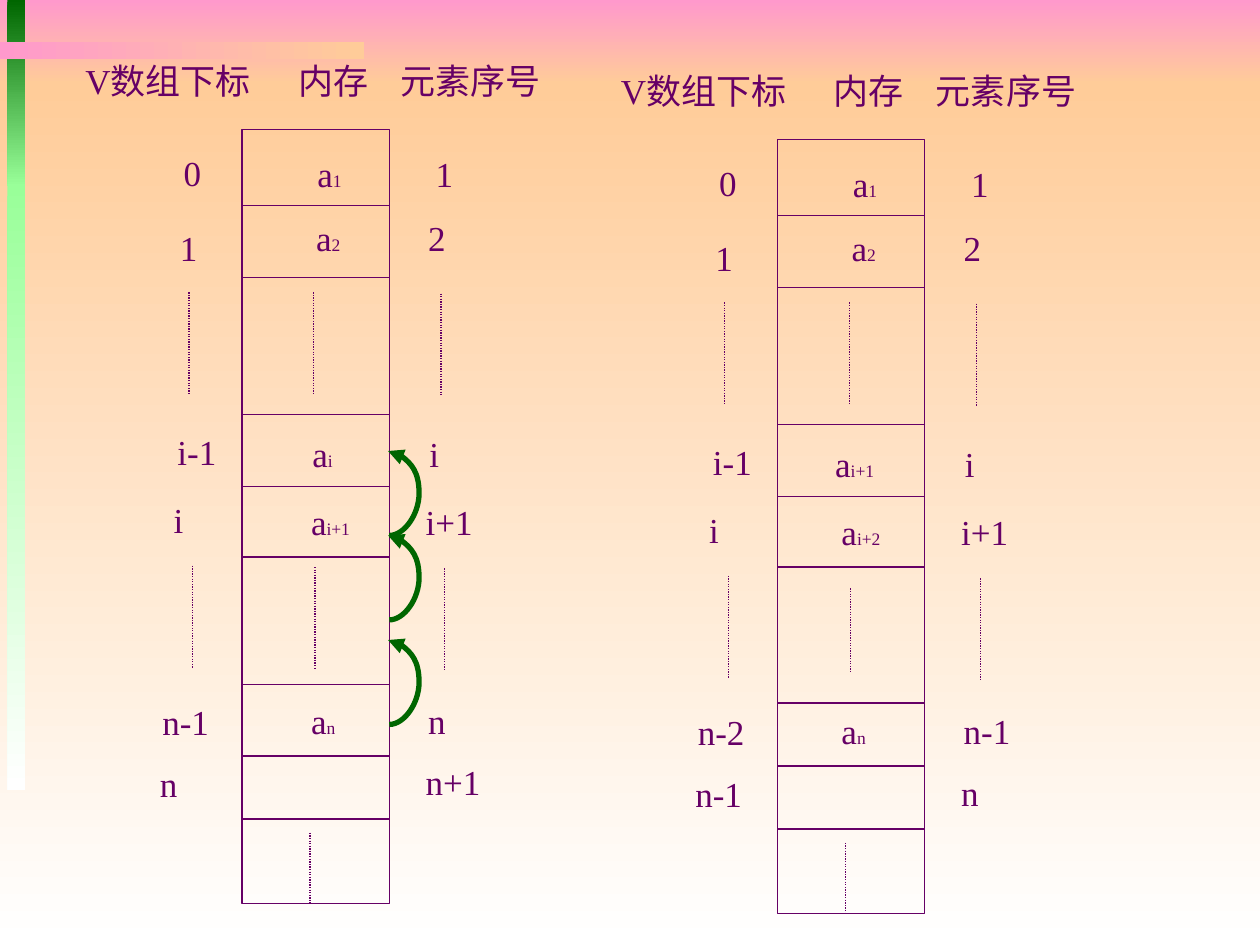
from dataclasses import dataclass

from lxml.etree import SubElement
from pptx import Presentation
from pptx.dml.color import RGBColor
from pptx.enum.dml import MSO_LINE
from pptx.enum.shapes import MSO_CONNECTOR, MSO_SHAPE
from pptx.enum.text import MSO_AUTO_SIZE
from pptx.oxml.ns import qn
from pptx.util import Inches, Pt

FONT = "Times New Roman"
PURPLE, GREEN = "660066", "006600"
PINK, PEACH, LIME, WHITE = "FF99CC", "FFCC99", "99FF99", "FFFFFF"
SIZE, SUB_SIZE = 20, 10
# Character widths in ems; any other character is one em wide
EMS = {"a": 0.44, "i": 0.28, "n": 0.5, "V": 0.72, "-": 0.33, "+": 0.56,
       "0": 0.5, "1": 0.5, "2": 0.5}

# Geometry of the left diagram, which the right one repeats with an offset
BOX_LEFT, BOX_TOP, BOX_WIDTH, BOX_HEIGHT = 1.92, 1.03, 1.17, 6.14
HEADERS = [("V数组下标", 0.58), ("内存", 2.27), ("元素序号", 3.08)]
HEADER_TOP = 0.42
INDEX_SPOTS = [(1.36, 1.15), (1.33, 1.75), (1.31, 3.37),
               (1.28, 3.91), (1.19, 5.51), (1.17, 6)]
NUMBER_SPOTS = [(3.36, 1.16), (3.3, 1.67), (3.31, 3.38),
                (3.28, 3.92), (3.3, 5.5), (3.28, 5.99)]
CELL_TOPS = [1.16, 1.67, 3.38, 3.92, 5.5]
DIVIDERS = [1.63, 2.2, 3.29, 3.86, 4.42, 6, 6.5]
DOTS = [(1.5, 2.32, 3.13), (2.49, 2.32, 3.13), (3.5, 2.33, 3.14),
        (1.53, 4.49, 5.3), (3.53, 4.51, 5.32), (2.46, 6.61, 7.17)]


@dataclass
class Diagram:
    dx: float
    dy: float
    indices: list[str]
    subscripts: list[str]
    cell_lefts: list[float]
    numbers: list[str]
    last_divider: float
    cell_dots: tuple[float, float]


DIAGRAMS = [
    Diagram(0, 0, ["0", "1", "i-1", "i", "n-1", "n"],
            ["1", "2", "i", "i+1", "n"], [2.42, 2.41, 2.38, 2.37, 2.37],
            ["1", "2", "i", "i+1", "n", "n+1"], 5.43, (4.5, 5.31)),
    Diagram(4.25, 0.08, ["0", "1", "i-1", "i", "n-2", "n-1"],
            ["1", "2", "i+1", "i+2", "n"], [2.42, 2.41, 2.28, 2.33, 2.33],
            ["1", "2", "i", "i+1", "n-1", "n"], 5.5, (4.59, 5.25)),
]


def rgb(color: str) -> RGBColor:
    return RGBColor.from_string(color)


def text_width(text: str, size: float) -> float:
    return sum(EMS.get(ch, 1) for ch in text) * size / 72


def add_text(s, text: str, left: float, top: float, *, sub: str = "",
             wrap: bool = False, color: str = PURPLE):
    width = 0.2 + text_width(text, SIZE) + text_width(sub, SUB_SIZE)
    sp = s.shapes.add_textbox(Inches(left), Inches(top),
                              Inches(width), Inches(0.43))
    tf = sp.text_frame
    tf.word_wrap = wrap
    tf.auto_size = MSO_AUTO_SIZE.SHAPE_TO_FIT_TEXT
    p = tf.paragraphs[0]
    for part, size in ((text, SIZE), (sub, SUB_SIZE)):
        if part:
            r = p.add_run()
            r.text = part
            r.font.name = FONT
            r.font.size = Pt(size)
            r.font.color.rgb = rgb(color)
    return sp


def add_rect(s, left: float, top: float, width: float, height: float):
    sp = s.shapes.add_shape(MSO_SHAPE.RECTANGLE, Inches(left), Inches(top),
                            Inches(width), Inches(height))
    sp.shadow.inherit = False
    return sp


def add_gradient(s, left: float, top: float, width: float, height: float,
                 start: str, end: str, angle: int = 270):
    sp = add_rect(s, left, top, width, height)
    sp.line.fill.background()
    sp.fill.gradient()
    sp.fill.gradient_angle = angle
    for stop, color in zip(sp.fill.gradient_stops, (start, end)):
        stop.color.rgb = rgb(color)


def add_line(s, x1: float, y1: float, x2: float, y2: float, *,
             kind=MSO_CONNECTOR.STRAIGHT, color: str = PURPLE,
             weight: float = 0.75, dotted: bool = False):
    sp = s.shapes.add_connector(kind, Inches(x1), Inches(y1),
                                Inches(x2), Inches(y2))
    sp.line.color.rgb = rgb(color)
    sp.line.width = Pt(weight)
    if dotted:
        sp.line.dash_style = MSO_LINE.ROUND_DOT
    SubElement(sp._element.spPr, qn("a:effectLst"))
    return sp


def add_shift_arrow(s, top: float) -> None:
    """Curve bulging to the right, with its arrowhead at the top."""
    sp = add_line(s, 3.08, top, 3.09, top + 0.67, kind=MSO_CONNECTOR.CURVE,
                  color=GREEN, weight=3)
    sp_pr = sp._element.spPr
    SubElement(sp_pr.find(qn("a:ln")), qn("a:headEnd"), type="triangle")
    guides = sp_pr.find(qn("a:prstGeom")).get_or_add_avLst()
    SubElement(guides, qn("a:gd"), name="adj1", fmla="val 2500000")


def add_diagram(s, d: Diagram) -> None:
    for text, x in HEADERS:
        add_text(s, text, x + d.dx, HEADER_TOP + d.dy,
                 wrap=text.startswith("V"))

    # Memory column and its cells
    left, right = BOX_LEFT + d.dx, BOX_LEFT + BOX_WIDTH + d.dx
    box = add_rect(s, left, BOX_TOP + d.dy, BOX_WIDTH, BOX_HEIGHT)
    box.fill.background()
    box.line.color.rgb = rgb(PURPLE)
    box.line.width = Pt(0.75)
    for y in DIVIDERS + [d.last_divider]:
        add_line(s, left, y + d.dy, right, y + d.dy)
    for sub, x, y in zip(d.subscripts, d.cell_lefts, CELL_TOPS):
        add_text(s, "a", x + d.dx, y + d.dy, sub=sub)

    # Indices, element numbers and dotted ellipses
    for labels, spots in ((d.indices, INDEX_SPOTS), (d.numbers, NUMBER_SPOTS)):
        for label, (x, y) in zip(labels, spots):
            add_text(s, label, x + d.dx, y + d.dy)
    for x, y1, y2 in DOTS + [(2.5, *d.cell_dots)]:
        add_line(s, x + d.dx, y1 + d.dy, x + d.dx, y2 + d.dy, dotted=True)


def main() -> None:
    prs = Presentation()
    prs.slide_width, prs.slide_height = Inches(10), Inches(7.5)
    s = prs.slides.add_slide(prs.slide_layouts[6])

    # Background bands
    add_gradient(s, 0, 0, 10, 0.67, PINK, PEACH)
    add_gradient(s, 0, 0.67, 10, 6.83, PEACH, WHITE)
    add_gradient(s, 0.06, 0, 0.14, 1.48, GREEN, LIME)
    add_gradient(s, 0.06, 1.46, 0.14, 4.81, LIME, WHITE)
    add_gradient(s, 0, 0.33, 2.89, 0.14, PINK, PEACH, angle=0)

    # Array before and after the deletion
    for d in DIAGRAMS:
        add_diagram(s, d)

    # Elements moving up
    for top in (5.08, 3.58, 4.25):
        add_shift_arrow(s, top)

    prs.save("out.pptx")


if __name__ == "__main__":
    main()
